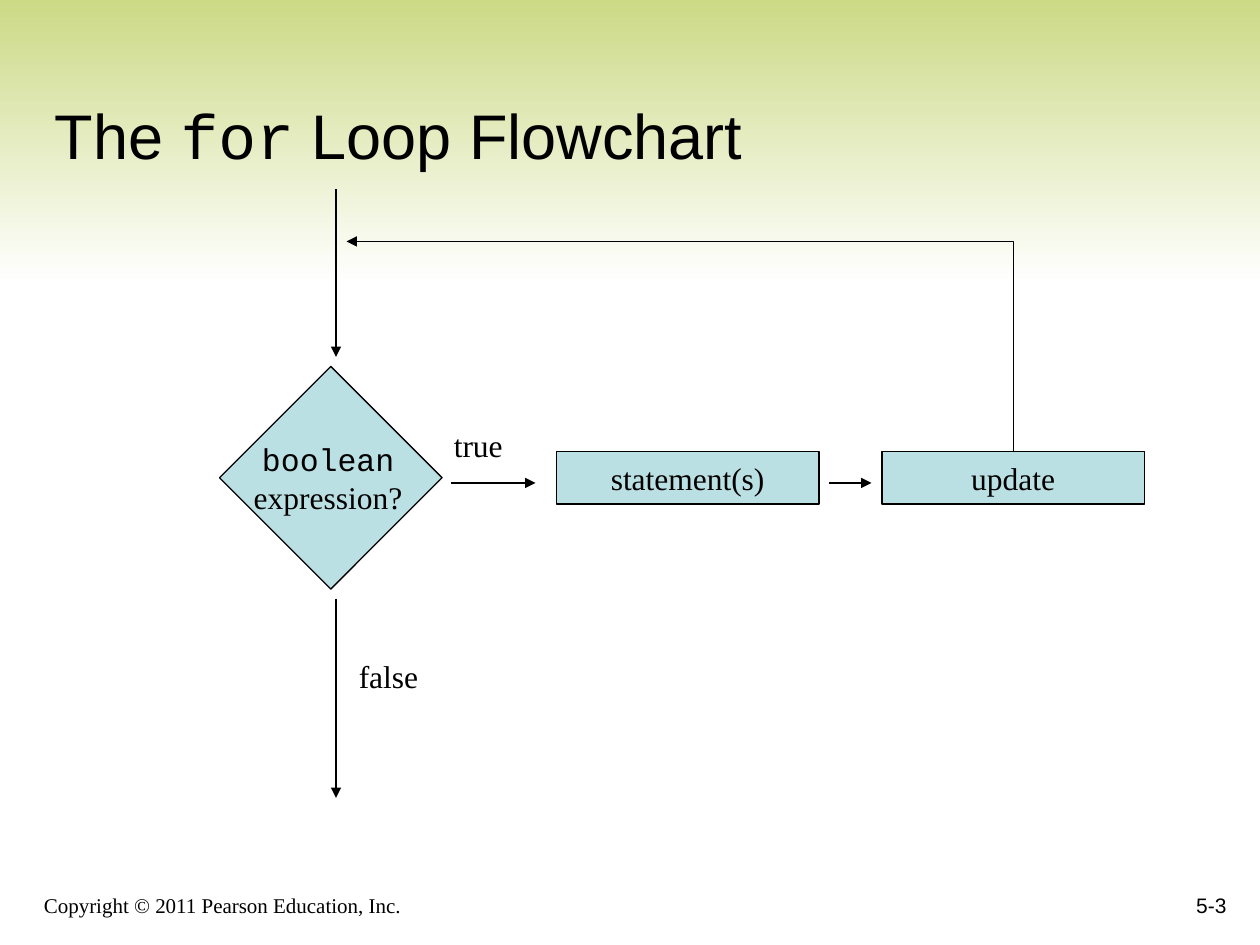
import pptx
import pptx.util
import pptx.dml.color
import pptx.enum.shapes
import pptx.enum.text
import pptx.oxml.ns
import lxml.etree

COLORS = {"ink": "000000", "box": "BBE0E3", "band": "CAD881", "paper": "FFFFFF"}
SANS, SERIF, MONO = "Arial", "Times New Roman", "Courier New"
COLUMNS, ROWS = 120, 90

SHAPE = pptx.enum.shapes.MSO_SHAPE
LINK = pptx.enum.shapes.MSO_CONNECTOR
ANCHOR = pptx.enum.text.MSO_ANCHOR
ALIGN = pptx.enum.text.PP_ALIGN
qn = pptx.oxml.ns.qn


def rgb(name):
    return pptx.dml.color.RGBColor.from_string(COLORS[name])


class Flowchart:
    """Draws on one slide; all lengths are columns and rows of the grid."""

    def __init__(self, prs):
        self.cell_w = prs.slide_width / COLUMNS
        self.cell_h = prs.slide_height / ROWS
        self.s = prs.slides.add_slide(prs.slide_layouts[5])
        fill = self.s.background.fill
        fill.solid()
        fill.fore_color.rgb = rgb("paper")

    def grid(self, *lengths):
        """Turn alternating columns and rows into EMU."""
        cells = (self.cell_w, self.cell_h)
        return [round(n * cells[i % 2]) for i, n in enumerate(lengths)]

    def set_text(self, sp, lines, size, align, anchor, wrap=False):
        """Fill a shape with lines, each a list of (text, font) runs."""
        tf = sp.text_frame
        tf.word_wrap = wrap
        tf.auto_size = pptx.enum.text.MSO_AUTO_SIZE.NONE
        tf.vertical_anchor = anchor
        for i, runs in enumerate(lines):
            p = tf.add_paragraph() if i else tf.paragraphs[0]
            p.alignment = align
            for text, font in runs:
                r = p.add_run()
                r.text = text
                r.font.name = font
                r.font.size = pptx.util.Pt(size)
                r.font.color.rgb = rgb("ink")

    def title(self, at, runs):
        sp = self.s.shapes.title
        sp.left, sp.top, sp.width, sp.height = self.grid(*at)
        self.set_text(sp, [runs], 36, ALIGN.LEFT, ANCHOR.BOTTOM, wrap=True)

    def text(self, at, lines, size=18, align=ALIGN.CENTER, anchor=ANCHOR.TOP, wrap=False):
        sp = self.s.shapes.add_textbox(*self.grid(*at))
        self.set_text(sp, lines, size, align, anchor, wrap)

    def band(self, at):
        sp = self.s.shapes.add_shape(SHAPE.RECTANGLE, *self.grid(*at))
        sp.shadow.inherit = False
        sp.line.fill.background()
        sp.fill.gradient()
        sp.fill.gradient_angle = 270
        for stop, position, name in zip(sp.fill.gradient_stops, (0, 1), ("band", "paper")):
            stop.position = position
            stop.color.rgb = rgb(name)

    def box(self, at, text=None, rotation=0):
        sp = self.s.shapes.add_shape(SHAPE.RECTANGLE, *self.grid(*at))
        sp.shadow.inherit = False
        sp.rotation = rotation
        sp.fill.solid()
        sp.fill.fore_color.rgb = rgb("box")
        sp.line.color.rgb = rgb("ink")
        sp.line.width = pptx.util.Pt(0.75)
        if text:
            self.set_text(sp, [[(text, SERIF)]], 18, ALIGN.CENTER, ANCHOR.MIDDLE)

    def arrow(self, start, end, kind=LINK.STRAIGHT):
        sp = self.s.shapes.add_connector(kind, *self.grid(*start, *end))
        sp.line.color.rgb = rgb("ink")
        sp.line.width = pptx.util.Pt(0.75)
        spPr = sp._element.spPr
        lxml.etree.SubElement(spPr.find(qn("a:ln")), qn("a:tailEnd"), type="triangle")
        lxml.etree.SubElement(spPr, qn("a:effectLst"))
        return sp

    def loop_back(self, start, end):
        """Arrow that rises from start, then runs left to end."""
        (x1, y1), (x2, y2) = start, end
        cx, cy = (x1 + x2) / 2, (y1 + y2) / 2
        half_w, half_h = (y1 - y2) / 2, (x1 - x2) / 2
        # The frame is laid on its side, then turned a quarter left.
        sp = self.arrow((cx - half_w, cy + half_h), (cx + half_w, cy - half_h), LINK.ELBOW)
        spPr = sp._element.spPr
        spPr.find(qn("a:xfrm")).set("rot", str(270 * 60000))
        spPr.find(qn("a:prstGeom")).set("prst", "bentConnector2")


def main():
    prs = pptx.Presentation()
    prs.slide_width = pptx.util.Inches(10)
    prs.slide_height = pptx.util.Inches(7.5)
    chart = Flowchart(prs)

    chart.band((0, -1, COLUMNS, 28))
    # The title belongs in front of the band.
    title = chart.s.shapes.title._element
    title.getparent().append(title)
    chart.title((4, 4, 113, 13), [("The ", SANS), ("for", MONO), (" Loop Flowchart", SANS)])
    chart.text((3, 83, 73, 5), [[("Copyright © 2011 Pearson Education, Inc.", SERIF)]],
               12, ALIGN.LEFT, ANCHOR.BOTTOM, True)
    chart.text((93, 82, 25, 6), [[("5-3", SANS)]], 12, ALIGN.RIGHT, ANCHOR.BOTTOM, True)

    chart.box((24, 38, 15, 15), rotation=45)
    chart.text((23, 41.3, 16.5, 8.4), [[("boolean", MONO)], [("expression?", SERIF)]])
    for column, step in ((53, "statement(s)"), (84, "update")):
        chart.box((column, 43, 25, 5), step)
    for column, row, width, answer in ((42, 40, 7.1, "true"), (33, 62, 8, "false")):
        chart.text((column, row, width, 4.8), [[(answer, SERIF)]])

    for start, end in (
        ((32, 18), (32, 34)),
        ((32, 57), (32, 76)),
        ((43, 46), (51, 46)),
        ((79, 46), (83, 46)),
    ):
        chart.arrow(start, end)
    chart.loop_back((96.5, 43), (33, 23))

    prs.save("out.pptx")


if __name__ == "__main__":
    main()
